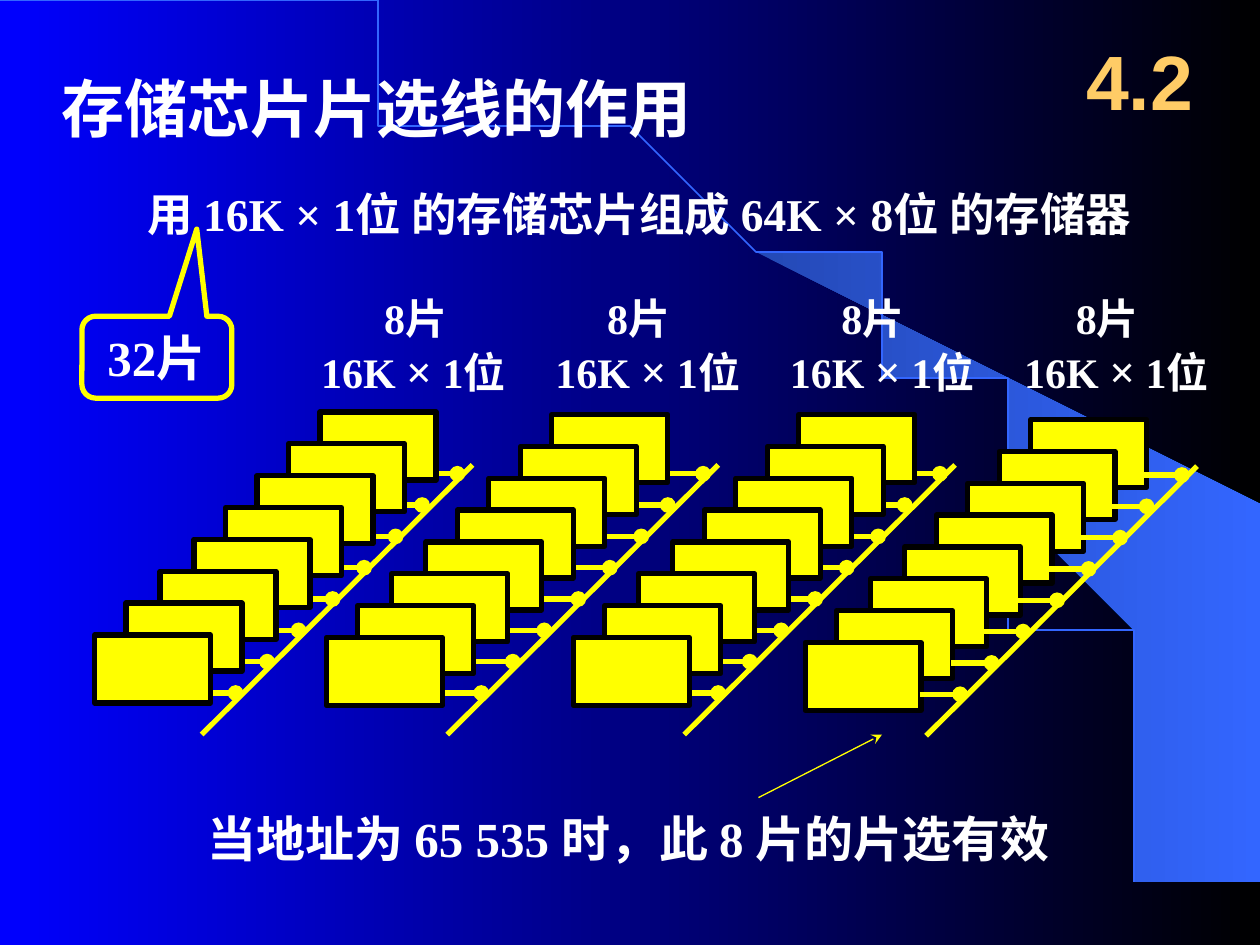
import lxml.etree
import pptx
import pptx.dml.color
import pptx.enum.shapes
import pptx.enum.text
import pptx.oxml.ns
import pptx.util

Inches = pptx.util.Inches
SHAPE = pptx.enum.shapes.MSO_SHAPE
ALIGN = pptx.enum.text.PP_ALIGN
ANCHOR = pptx.enum.text.MSO_ANCHOR

COLORS = {
    "blue": "0000FF", "black": "000000", "white": "FFFFFF", "yellow": "FFFF00",
    "arc": "3366FF", "wedge": "2449B6", "number": "FFCC66",
}
BEAM = [
    (9.2, 7.48), (9.99, 7.49), (9.99, 4.23), (5.89, 1.73), (6.24, 1.99), (6.53, 2.22),
    (6.85, 2.5), (7.16, 2.8), (7.62, 3.3), (8.03, 3.84), (8.32, 4.31), (8.58, 4.79),
    (8.78, 5.28), (8.93, 5.72), (9.03, 6.09), (9.13, 6.56), (9.17, 6.96),
]
ROW_COUNT = 8
CHIP_OFFSETS = [0, 0.25, 0.5, 0.75, 1, 1.27, 1.54, 1.79]
STUB_OFFSETS = [0.12, 0.4, 0.61, 0.86, 1.11, 1.38, 1.63, 1.88]
CHIP_STACKS = [(2.54, 3.27), (4.38, 3.29), (6.34, 3.29), (8.18, 3.33)]
SELECT_BUSES = [(3.75, 3.69), (5.7, 3.69), (7.58, 3.69), (9.5, 3.7)]


def rgb(name):
    return pptx.dml.color.RGBColor.from_string(COLORS[name])


def fill_gradient(fill, start, end):
    fill.gradient()
    fill.gradient_angle = 0
    for stop, name in zip(fill.gradient_stops, (start, end)):
        stop.color.rgb = rgb(name)


def style_line(line, color, width):
    line.color.rgb = rgb(color)
    line.width = pptx.util.Pt(width)


def add_outline(slide, points, close):
    builder = slide.shapes.build_freeform(*points[0], scale=Inches(1))
    builder.add_line_segments(points[1:], close=close)
    shape = builder.convert_to_shape()
    shape.shadow.inherit = False
    return shape


def add_arc(slide):
    """Draw the quarter ellipse as points along its Bezier curve."""
    steps = 80
    points = []
    for step in range(steps + 1):
        t = step / steps
        u = 1 - t
        x = 3 * u * u * t * 5.08 + 3 * u * t * t * 9.2 + t ** 3 * 9.2
        y = 3 * u * t * t * 3.35 + t ** 3 * 7.49
        points.append((x, y))
    arc = add_outline(slide, points, close=False)
    arc.fill.background()
    style_line(arc.line, "arc", 1)


def add_line(slide, start, end, width=3, tip=None):
    line = slide.shapes.add_connector(
        pptx.enum.shapes.MSO_CONNECTOR.STRAIGHT, *map(Inches, start + end))
    style_line(line.line, "yellow", width)
    qn = pptx.oxml.ns.qn
    if tip:
        outline = line.line._get_or_add_ln()
        lxml.etree.SubElement(outline, qn("a:tailEnd"), type=tip)
    lxml.etree.SubElement(line._element.spPr, qn("a:effectLst"))


def add_shape(slide, kind, place):
    shape = slide.shapes.add_shape(kind, *map(Inches, place))
    shape.shadow.inherit = False
    return shape


def add_box(slide, *place, wrap=True):
    box = slide.shapes.add_textbox(*map(Inches, place))
    box.text_frame.word_wrap = wrap
    return box.text_frame


def add_text(para, text, size=28, color="white", font="Times New Roman"):
    span = para.add_run()
    span.text = text
    span.font.size = pptx.util.Pt(size)
    span.font.name = font
    span.font.bold = True
    span.font.color.rgb = rgb(color)


def add_chip_stack(slide, left, top):
    for row, offset in enumerate(CHIP_OFFSETS):
        place = (left - offset, top + row * 1.77 / (ROW_COUNT - 1), 0.92, 0.54)
        chip = add_shape(slide, SHAPE.RECTANGLE, place)
        chip.fill.solid()
        chip.fill.fore_color.rgb = rgb("yellow")
        style_line(chip.line, "black", 3)


def add_select_bus(slide, right, top):
    """Draw a chip-select line and the stubs that join it to the chips."""
    add_line(slide, (right, top), (right - 2.15, top + 2.14))
    for row, offset in enumerate(STUB_OFFSETS):
        x = right - offset
        y = top + 0.07 + row * 1.74 / (ROW_COUNT - 1)
        add_line(slide, (x - 0.32, y), (x, y), tip="oval")


def add_stack_label(slide, left, indent):
    frame = add_box(slide, left, 2.27, 2.1, 0.93)
    count = frame.paragraphs[0]
    count._p.get_or_add_pPr().set("indent", str(Inches(indent)))
    add_text(count, "8片", size=24)
    capacity = frame.add_paragraph()
    for text, size in (("16K ", 24), ("×", 26), (" 1位", 24)):
        add_text(capacity, text, size=size)


def add_callout(slide):
    callout = add_shape(slide, SHAPE.ROUNDED_RECTANGULAR_CALLOUT, (0.65, 2.51, 1.19, 0.65))
    for index, value in enumerate((0.266, -1.564, 0.167)):
        callout.adjustments[index] = value
    callout.fill.background()
    style_line(callout.line, "yellow", 3)
    frame = callout.text_frame
    frame.margin_left, frame.margin_right = Inches(0.17), 0
    frame.paragraphs[0].alignment = ALIGN.LEFT
    add_text(frame.paragraphs[0], "32片")


def add_backdrop(slide):
    fill_gradient(slide.background.fill, "blue", "black")
    beam = add_outline(slide, BEAM, close=True)
    fill_gradient(beam.fill, "wedge", "arc")
    beam.line.fill.background()
    add_arc(slide)


def main():
    deck = pptx.Presentation()
    deck.slide_width, deck.slide_height = Inches(10), Inches(7.5)
    slide = deck.slides.add_slide(deck.slide_layouts[6])
    add_backdrop(slide)

    for bus in SELECT_BUSES[:-1]:
        add_select_bus(slide, *bus)
    title = add_box(slide, 0.39, 0.5, 5.22, 0.7, wrap=False)
    add_text(title.paragraphs[0], "存储芯片片选线的作用", size=36)
    task = add_box(slide, 1.07, 1.43, 8.51, 0.53)
    add_text(task.paragraphs[0], "用 16K × 1位 的存储芯片组成 64K × 8位 的存储器", size=26)

    for stack in CHIP_STACKS:
        add_chip_stack(slide, *stack)
    add_callout(slide)
    add_select_bus(slide, *SELECT_BUSES[-1])

    note = add_box(slide, 1.55, 6.37, 7.2, 0.57)
    add_text(note.paragraphs[0], "当地址为 65 535 时，此 8 片的片选有效")
    add_line(slide, (6.02, 6.33), (7, 5.83), width=0.75, tip="stealth")

    for column, indent in enumerate((0.5, 0.41, 0.41, 0.41)):
        add_stack_label(slide, 2.45 + column * 1.86, indent)

    number = add_box(slide, 8.42, 0.17, 1.25, 0.92)
    number.vertical_anchor = ANCHOR.MIDDLE
    number.paragraphs[0].alignment = ALIGN.CENTER
    add_text(number.paragraphs[0], "4.2", size=44, color="number", font="Arial")
    deck.save("out.pptx")


if __name__ == "__main__":
    main()
